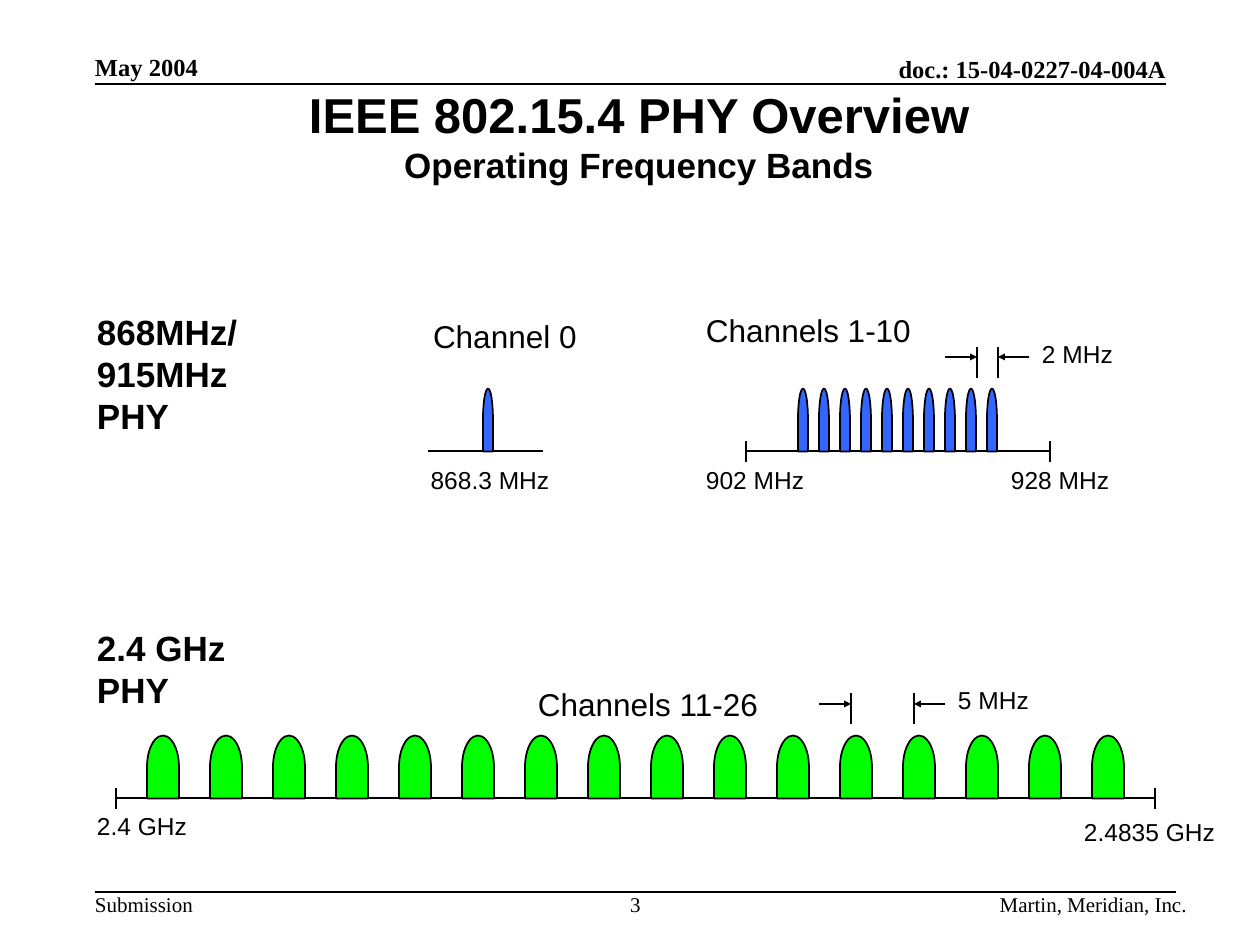
from lxml import etree
from pptx import Presentation
from pptx.dml.color import RGBColor
from pptx.enum.shapes import MSO_CONNECTOR, MSO_SHAPE
from pptx.enum.text import MSO_ANCHOR, MSO_AUTO_SIZE, PP_ALIGN
from pptx.oxml.ns import qn
from pptx.util import Emu, Pt

LEFT, MID, RIGHT = PP_ALIGN.LEFT, PP_ALIGN.CENTER, PP_ALIGN.RIGHT
TOP, BOTTOM = MSO_ANCHOR.TOP, MSO_ANCHOR.BOTTOM
FIXED, GROW = MSO_AUTO_SIZE.NONE, MSO_AUTO_SIZE.SHAPE_TO_FIT_TEXT
STRAIGHT, PULSE = MSO_CONNECTOR.STRAIGHT, MSO_SHAPE.FLOWCHART_DELAY
SCALE = 914400 / 126  # EMU in one px
BLACK, BLUE, GREEN = "000000", "3366FF", "00FF00"


def px(*nums):
    return [Emu(round(n * SCALE)) for n in nums]


def color(code):
    return RGBColor.from_string(code)


deck = Presentation()
deck.slide_width, deck.slide_height = px(1260, 945)
slide = deck.slides.add_slide(deck.slide_layouts[5])
shapes = slide.shapes

# Title with subtitle
title = shapes.title
title.left, title.top, title.width, title.height = px(178, 78, 922, 156)
frame = title.text_frame
frame.text = "IEEE 802.15.4 PHY Overview\nOperating Frequency Bands"
frame.auto_size = FIXED
frame.vertical_anchor = TOP
for para, size in zip(frame.paragraphs, (28, 20)):
    para.alignment = MID
    form = {"name": "Arial", "size": Pt(size), "bold": True}
    for key, val in form.items():
        setattr(para.font, key, val)
    para.font.color.rgb = color(BLACK)

# Lines: x1, y1, x2, y2, arrow at end
lines = [
    (95, 84, 1166, 84, False),     # header rule
    (95, 892, 1176, 892, False),   # footer rule
    (428, 451, 543, 451, False),   # 868 MHz axis
]
# Axes with end ticks: x1, x2, y
for x1, x2, y in [(746, 1050, 451), (116, 1155, 798)]:
    lines.append((x1, y, x2, y, False))
    lines += [(x, y - 10, x, y + 11, False) for x in (x1, x2)]
# Channel spacing marks: x1, x2, top of ticks, y of arrows
for x1, x2, top, y in [(977, 998, 347, 357), (851, 914, 693, 704)]:
    lines += [(x, top, x, top + 31, False) for x in (x1, x2)]
    lines += [(x1 - 32, y, x1, y, True), (x2 + 31, y, x2, y, True)]

for *ends, arrow in lines:
    line = shapes.add_connector(STRAIGHT, *px(*ends))
    line.line.color.rgb = color(BLACK)
    line.line.width = Pt(1)
    if arrow:
        tail = etree.SubElement(line.line._get_or_add_ln(), qn("a:tailEnd"))
        for key, val in {"type": "triangle", "w": "sm", "len": "sm"}.items():
            tail.set(key, val)
    etree.SubElement(line._element.spPr, qn("a:effectLst"))

# Channel pulses: count, first centre x, pitch, centre y, thickness, fill
LONG = 63
for count, first, pitch, mid, thick, fill in [
    (1, 488, 0, 420, 10, BLUE),
    (10, 803, 21, 420, 10, BLUE),
    (16, 163, 63, 767, 32, GREEN),
]:
    for i in range(count):
        x = first + i * pitch
        pulse = shapes.add_shape(
            PULSE, *px(x - LONG / 2, mid - thick / 2, LONG, thick))
        pulse.rotation = 270
        pulse.shadow.inherit = False
        pulse.fill.solid()
        pulse.fill.fore_color.rgb = color(fill)
        pulse.line.color.rgb = color(BLACK)
        pulse.line.width = Pt(1)

# Text styles: font, size, bold, inset px (sides, ends), wrap, fit, anchor
HEAD = ("Times New Roman", 14, True, (0, 0), True, FIXED, BOTTOM)
FOOT = ("Times New Roman", 12, False, (0, 0), True, FIXED, TOP)
BAND = ("Arial", 20, True, (13, 6), True, FIXED, TOP)
NAME = ("Arial", 18, False, (13, 6), False, GROW, TOP)
FREQ = ("Arial", 14, False, (13, 6), False, GROW, TOP)

# Texts: words, left, top, width, height, alignment, style
texts = [
    ("May 2004", 95, 52, 220, 29, LEFT, HEAD),
    ("doc.: 15-04-0227-04-004A", 620, 54, 546, 29, RIGHT, HEAD),
    ("Submission", 95, 892, 98, 50, LEFT, FOOT),
    ("3", 599, 892, 73, 25, MID, FOOT),
    ("Martin, Meridian, Inc.", 756, 892, 431, 25, RIGHT, FOOT),
    ("868MHz/\n915MHz\nPHY", 84, 305, 399, 139, LEFT, BAND),
    ("2.4 GHz\nPHY", 84, 620, 179, 97, LEFT, BAND),
    ("Channel 0", 420, 311, 172, 50, LEFT, NAME),
    ("Channels 1-10", 693, 305, 232, 50, LEFT, NAME),
    ("Channels 11-26", 525, 679, 250, 50, LEFT, NAME),
    ("868.3 MHz", 416, 459, 148, 43, MID, FREQ),
    ("902 MHz", 693, 459, 126, 43, LEFT, FREQ),
    ("928 MHz", 998, 459, 126, 43, LEFT, FREQ),
    ("2 MHz", 1029, 333, 99, 43, LEFT, FREQ),
    ("5 MHz", 945, 679, 99, 43, LEFT, FREQ),
    ("2.4 GHz", 84, 805, 118, 43, LEFT, FREQ),
    ("2.4835 GHz", 1071, 811, 159, 43, LEFT, FREQ),
]
for words, x, y, wide, high, align, style in texts:
    face, size, bold, inset, wrap, fit, anchor = style
    side, end = px(*inset)
    frame = shapes.add_textbox(*px(x, y, wide, high)).text_frame
    frame.text = words
    form = {"word_wrap": wrap, "auto_size": fit, "vertical_anchor": anchor,
            "margin_left": side, "margin_right": side,
            "margin_top": end, "margin_bottom": end}
    for key, val in form.items():
        setattr(frame, key, val)
    for para in frame.paragraphs:
        para.alignment = align
        form = {"name": face, "size": Pt(size), "bold": bold}
        for key, val in form.items():
            setattr(para.font, key, val)
        para.font.color.rgb = color(BLACK)

deck.save("out.pptx")
